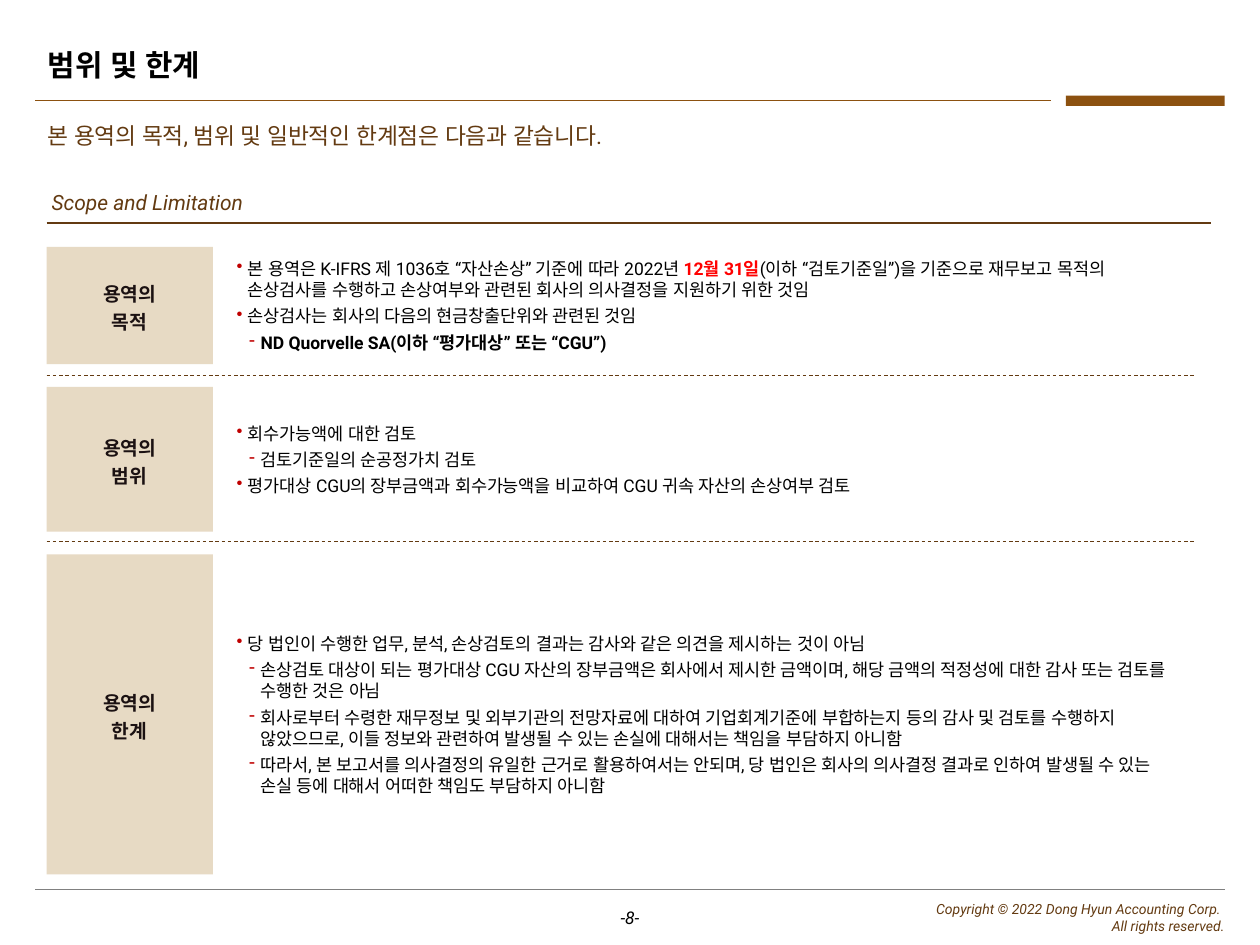
import pptx
import pptx.util
import pptx.dml.color
import pptx.enum.dml
import pptx.enum.shapes
import pptx.enum.text
import pptx.oxml.ns
from lxml import etree

Inches = pptx.util.Inches
Pt = pptx.util.Pt
ALIGN = pptx.enum.text.PP_ALIGN
ANCHOR = pptx.enum.text.MSO_ANCHOR
qn = pptx.oxml.ns.qn

COLORS = {
    "brown": "633A11", "accent": "8C5110", "sand": "E7DAC4", "label": "1B1112",
    "black": "000000", "red": "FF0000", "bullet": "C00000", "gray": "808080",
}
DEFAULT_INSETS = (0.1, 0.05, 0.1, 0.05)
BULLETS = {"•": 0.09, "-": 0.19}  # bullet character: left indent in inches
HANGING = 0.09


def rgb(name):
    return pptx.dml.color.RGBColor.from_string(COLORS[name])


class SlideBuilder:
    def __init__(self, slide, font="Roboto"):
        self.slide = slide
        self.font = font

    def add_span(self, para, text, color="black", **formats):
        span = para.add_run()
        span.text = text
        span.font.color.rgb = rgb(color)
        span.font.name = self.font
        for name, value in formats.items():
            setattr(span.font, name, value)
        # Korean glyphs take their font from a:ea
        east_asian = etree.SubElement(span.font._element, qn("a:ea"))
        east_asian.set("typeface", self.font)

    def set_frame(self, box, anchor, insets=DEFAULT_INSETS):
        frame = box.text_frame
        frame.word_wrap = True
        frame.vertical_anchor = anchor
        for side, inset in zip(("left", "top", "right", "bottom"), insets):
            setattr(frame, f"margin_{side}", Inches(inset))
        return frame

    def fill_lines(self, frame, lines, align, spacing, **formats):
        for index, line in enumerate(lines):
            para = frame.paragraphs[0] if index == 0 else frame.add_paragraph()
            para.alignment = align
            para.line_spacing = spacing
            self.add_span(para, line, **formats)

    def text(self, at, lines, align=ALIGN.LEFT, anchor=ANCHOR.TOP,
             insets=DEFAULT_INSETS, spacing=1.0, **formats):
        box = self.slide.shapes.add_textbox(*map(Inches, at))
        frame = self.set_frame(box, anchor, insets)
        self.fill_lines(frame, lines, align, spacing, **formats)

    def rectangle(self, at, color):
        box = self.slide.shapes.add_shape(
            pptx.enum.shapes.MSO_SHAPE.RECTANGLE, *map(Inches, at))
        box.shadow.inherit = False
        box.fill.solid()
        box.fill.fore_color.rgb = rgb(color)
        box.line.fill.background()
        return box

    def label(self, at, lines):
        frame = self.set_frame(self.rectangle(at, "sand"), ANCHOR.MIDDLE)
        self.fill_lines(frame, lines, ALIGN.CENTER, 1.2,
                        color="label", size=Pt(11), bold=True)

    def rule(self, left, right, y, color, width, dashed=False):
        line = self.slide.shapes.add_connector(
            pptx.enum.shapes.MSO_CONNECTOR.STRAIGHT,
            Inches(left), Inches(y), Inches(right), Inches(y))
        line.line.color.rgb = rgb(color)
        line.line.width = Pt(width)
        if dashed:
            line.line.dash_style = pptx.enum.dml.MSO_LINE.DASH
        etree.SubElement(line._element.spPr, qn("a:effectLst"))

    def bullet_list(self, at, items):
        """Each item is a bullet character and a list of (text, formats) spans."""
        box = self.slide.shapes.add_textbox(*map(Inches, at))
        frame = self.set_frame(box, ANCHOR.MIDDLE)
        for index, (mark, spans) in enumerate(items):
            para = frame.paragraphs[0] if index == 0 else frame.add_paragraph()
            para.space_before = Pt(3 if index else 0)
            self.add_bullet(para, mark)
            for text, formats in spans:
                self.add_span(para, text, size=Pt(10), **formats)

    def add_bullet(self, para, mark):
        properties = para._p.get_or_add_pPr()
        properties.set("marL", str(Inches(BULLETS[mark])))
        properties.set("indent", str(-Inches(HANGING)))
        color = etree.SubElement(properties, qn("a:buClr"))
        etree.SubElement(color, qn("a:srgbClr")).set("val", COLORS["bullet"])
        etree.SubElement(properties, qn("a:buChar")).set("char", mark)


SECTIONS = [
    ("목적", 1.96, 0.93, [
        ("•", [
            ("본 용역은 K-IFRS 제 1036호 “자산손상” 기준에 따라 2022년 ", {}),
            ("12월 31일", {"color": "red", "bold": True}),
            ("(이하 “검토기준일”)을 기준으로 재무보고 목적의 손상검사를 수행하고 "
             "손상여부와 관련된 회사의 의사결정을 지원하기 위한 것임", {}),
        ]),
        ("•", [("손상검사는 회사의 다음의 현금창출단위와 관련된 것임", {})]),
        ("-", [("ND Quorvelle SA(이하 “평가대상” 또는 “CGU”)", {"bold": True})]),
    ]),
    ("범위", 3.07, 1.15, [
        ("•", [("회수가능액에 대한 검토", {})]),
        ("-", [("검토기준일의 순공정가치 검토", {})]),
        ("•", [("평가대상 CGU의 장부금액과 회수가능액을 비교하여 CGU 귀속 자산의 "
                "손상여부 검토", {})]),
    ]),
    ("한계", 4.4, 2.54, [
        ("•", [("당 법인이 수행한 업무, 분석, 손상검토의 결과는 감사와 같은 의견을 "
                "제시하는 것이 아님", {})]),
        ("-", [("손상검토 대상이 되는 평가대상 CGU 자산의 장부금액은 회사에서 제시한 "
                "금액이며, 해당 금액의 적정성에 대한 감사 또는 검토를 수행한 것은 아님", {})]),
        ("-", [("회사로부터 수령한 재무정보 및 외부기관의 전망자료에 대하여 "
                "기업회계기준에 부합하는지 등의 감사 및 검토를 수행하지 않았으므로, "
                "이들 정보와 관련하여 발생될 수 있는 손실에 대해서는 책임을 "
                "부담하지 아니함", {})]),
        ("-", [("따라서, 본 보고서를 의사결정의 유일한 근거로 활용하여서는 안되며, "
                "당 법인은 회사의 의사결정 결과로 인하여 발생될 수 있는 손실 등에 "
                "대해서 어떠한 책임도 부담하지 아니함", {})]),
    ]),
]


def main():
    deck = pptx.Presentation()
    deck.slide_width, deck.slide_height = Inches(10), Inches(7.5)
    page = SlideBuilder(deck.slides.add_slide(deck.slide_layouts[6]))

    page.rule(0.28, 9.72, 7.06, "gray", 0.75)
    page.text((6.29, 7.15, 3.43, 0.27),
              ["Copyright © 2022 Dong Hyun Accounting Corp. ", "All rights reserved."],
              align=ALIGN.RIGHT, insets=(0, 0, 0, 0),
              color="brown", size=Pt(8), italic=True)
    page.text((3.82, 7.15, 2.36, 0.27), ["-8-"], align=ALIGN.CENTER,
              anchor=ANCHOR.MIDDLE, size=Pt(10), italic=True)

    page.rectangle((8.46, 0.76, 1.26, 0.08), "accent")
    page.rule(0.28, 8.34, 0.8, "accent", 0.5)
    page.text((0.28, 0.3, 7.09, 0.46), ["범위 및 한계"], anchor=ANCHOR.MIDDLE,
              spacing=0.9, size=Pt(17), bold=True)
    page.text((0.28, 0.92, 9.45, 0.32),
              ["본 용역의 목적, 범위 및 일반적인 한계점은 다음과 같습니다."],
              color="brown", size=Pt(13))

    page.text((0.37, 1.45, 9.24, 0.31), ["Scope and Limitation"],
              anchor=ANCHOR.MIDDLE, insets=(0.04, 0.05, 0.04, 0.05),
              color="brown", size=Pt(12), italic=True)
    page.rule(0.37, 9.61, 1.77, "brown", 1.25)

    for topic, top, height, items in SECTIONS:
        page.label((0.37, top, 1.32, height), ["용역의", topic])
        page.bullet_list((1.78, top, 7.7, height), items)
    for y in (2.98, 4.3):
        page.rule(0.37, 9.48, y, "brown", 0.5, dashed=True)

    deck.save("out.pptx")


if __name__ == "__main__":
    main()
